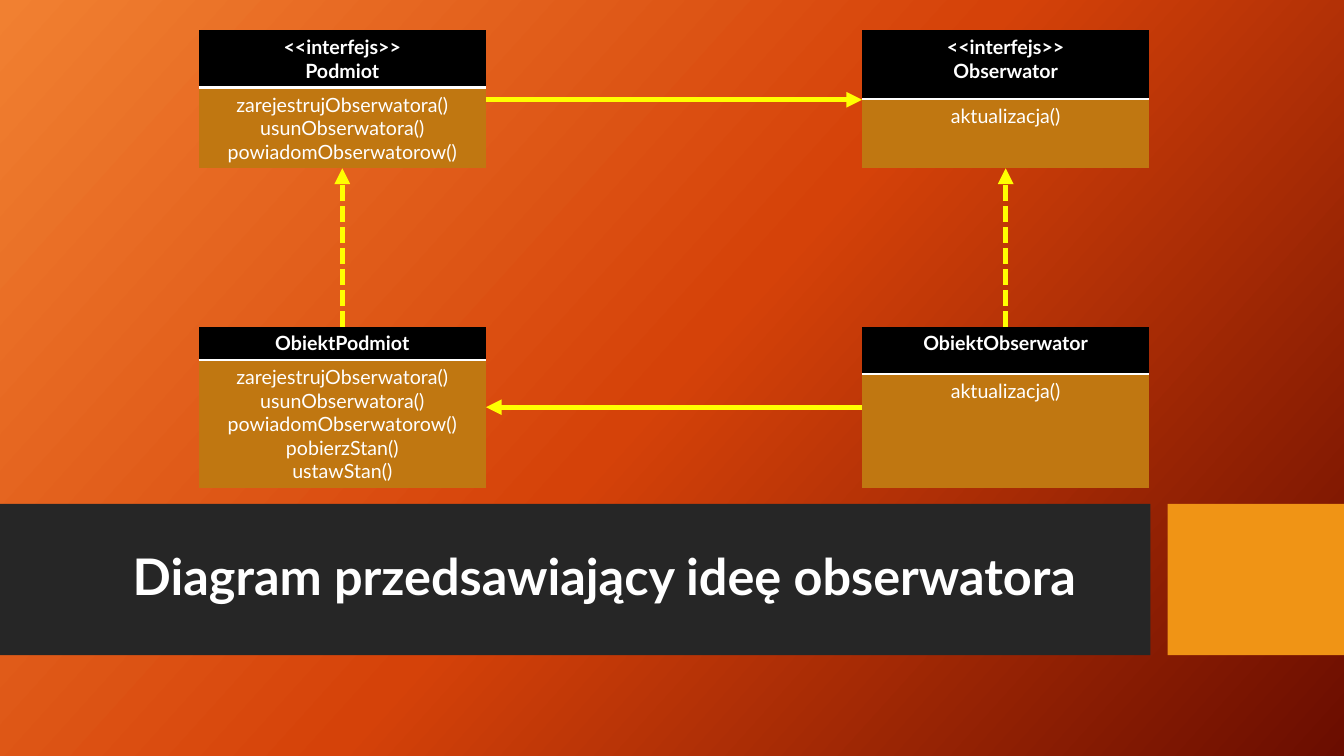
from copy import deepcopy
from dataclasses import dataclass

from lxml.etree import SubElement
from pptx import Presentation
from pptx.dml.color import RGBColor
from pptx.enum.dml import MSO_LINE
from pptx.enum.shapes import MSO_CONNECTOR, MSO_SHAPE
from pptx.enum.text import MSO_ANCHOR, PP_ALIGN
from pptx.oxml import parse_xml
from pptx.oxml.ns import nsdecls, qn
from pptx.util import Inches, Pt


@dataclass(frozen=True)
class Theme:
    font: str = "Lato"
    white: str = "FFFFFF"
    head: str = "000000"
    body: str = "C07711"
    arrow: str = "FFFF00"
    band: str = "262626"
    accent: str = "F09415"
    stops: tuple = ((0, "F18031"), (0.5, "D54209"), (1, "6A0D00"))
    title: int = 36
    text: int = 14
    rule: int = 2
    line: float = 3.75


THEME = Theme()
PLAIN = "{2D5ABB26-0587-4C30-8999-92F81FD0307C}"
LEFT, RIGHT, WIDE = 1.97, 8.55, 2.85
TOP, LOW = 0.3, 3.24
BASE = 1.67


def rgb(code):
    return RGBColor.from_string(code)


def paint(slide):
    fill = slide.background.fill
    fill.gradient()
    stops = slide.element.find(".//" + qn("a:gsLst"))
    stops.append(deepcopy(stops[-1]))
    for stop, (place, code) in zip(fill.gradient_stops, THEME.stops):
        stop.position = place
        stop.color.rgb = rgb(code)
    fill.gradient_angle = 360 - 42


def write(frame, lines, size, bold):
    for index, line in enumerate(lines):
        para = frame.paragraphs[0] if index == 0 else frame.add_paragraph()
        para.alignment = PP_ALIGN.CENTER
        run = para.add_run()
        run.text = line
        run.font.name = THEME.font
        run.font.size = Pt(size)
        run.font.bold = bold
        run.font.color.rgb = rgb(THEME.white)


def add_band(slide, left, width, code):
    band = slide.shapes.add_shape(
        MSO_SHAPE.RECTANGLE, Inches(left), Inches(5), Inches(width), Inches(1.5))
    band.shadow.inherit = False
    band.fill.solid()
    band.fill.fore_color.rgb = rgb(code)
    band.line.fill.background()


def set_title(slide, text):
    title = slide.shapes.title
    title.left, title.top = Inches(0.74), Inches(5.15)
    title.width, title.height = Inches(10.51), Inches(1.19)
    frame = title.text_frame
    frame.word_wrap = True
    frame.vertical_anchor = MSO_ANCHOR.MIDDLE
    write(frame, [text], THEME.title, True)
    frame.paragraphs[0].line_spacing = 0.9
    title.element.getparent().append(title.element)


def add_rule(cell, side):
    rule = parse_xml(
        f'<a:{side} {nsdecls("a")} w="{Pt(THEME.rule)}"><a:solidFill>'
        f'<a:srgbClr val="{THEME.white}"/></a:solidFill></a:{side}>')
    cell._tc.get_or_add_tcPr().insert(0, rule)


def add_class(slide, left, top, sizes, head, body):
    table = slide.shapes.add_table(
        2, 1, Inches(left), Inches(top), Inches(WIDE), Inches(sum(sizes))).table
    table._tbl.tblPr.find(qn("a:tableStyleId")).text = PLAIN
    table.horz_banding = False
    parts = ((head, THEME.head, True, "lnB"), (body, THEME.body, False, "lnT"))
    for index, (lines, code, bold, side) in enumerate(parts):
        table.rows[index].height = Inches(sizes[index])
        cell = table.cell(index, 0)
        cell.fill.solid()
        cell.fill.fore_color.rgb = rgb(code)
        write(cell.text_frame, lines, THEME.text, bold)
        add_rule(cell, side)


def add_arrow(slide, start, end, dashed=False):
    arrow = slide.shapes.add_connector(
        MSO_CONNECTOR.STRAIGHT, *map(Inches, start + end))
    arrow.line.color.rgb = rgb(THEME.arrow)
    arrow.line.width = Pt(THEME.line)
    if dashed:
        arrow.line.dash_style = MSO_LINE.SQUARE_DOT
    SubElement(arrow.line._get_or_add_ln(), qn("a:tailEnd"), type="triangle")
    SubElement(arrow.element.spPr, qn("a:effectLst"))


def main():
    deck = Presentation()
    deck.slide_width, deck.slide_height = Inches(13.33), Inches(7.5)
    slide = deck.slides.add_slide(deck.slide_layouts[5])
    paint(slide)
    add_band(slide, 0, 11.41, THEME.band)
    add_band(slide, 11.58, 1.75, THEME.accent)
    set_title(slide, "Diagram przedsawiający ideę obserwatora")

    calls = ["zarejestrujObserwatora()", "usunObserwatora()", "powiadomObserwatorow()"]
    state = ["pobierzStan()", "ustawStan()"]
    update = ["aktualizacja()"]
    kind = "<<interfejs>>"
    add_class(slide, LEFT, TOP, (0.57, 0.8), [kind, "Podmiot"], calls)
    add_class(slide, RIGHT, TOP, (0.68, 0.69), [kind, "Obserwator"], update)
    add_class(slide, RIGHT, LOW, (0.47, 1.13), ["ObiektObserwator"], update)
    add_class(slide, LEFT, LOW, (0.33, 1.27), ["ObiektPodmiot"], calls + state)

    for left in (LEFT, RIGHT):
        mid = left + WIDE / 2
        add_arrow(slide, (mid, LOW), (mid, BASE), dashed=True)
    edge = LEFT + WIDE
    add_arrow(slide, (edge, 0.99), (RIGHT, 0.99))
    add_arrow(slide, (RIGHT, 4.04), (edge, 4.04))
    deck.save("out.pptx")


if __name__ == "__main__":
    main()
